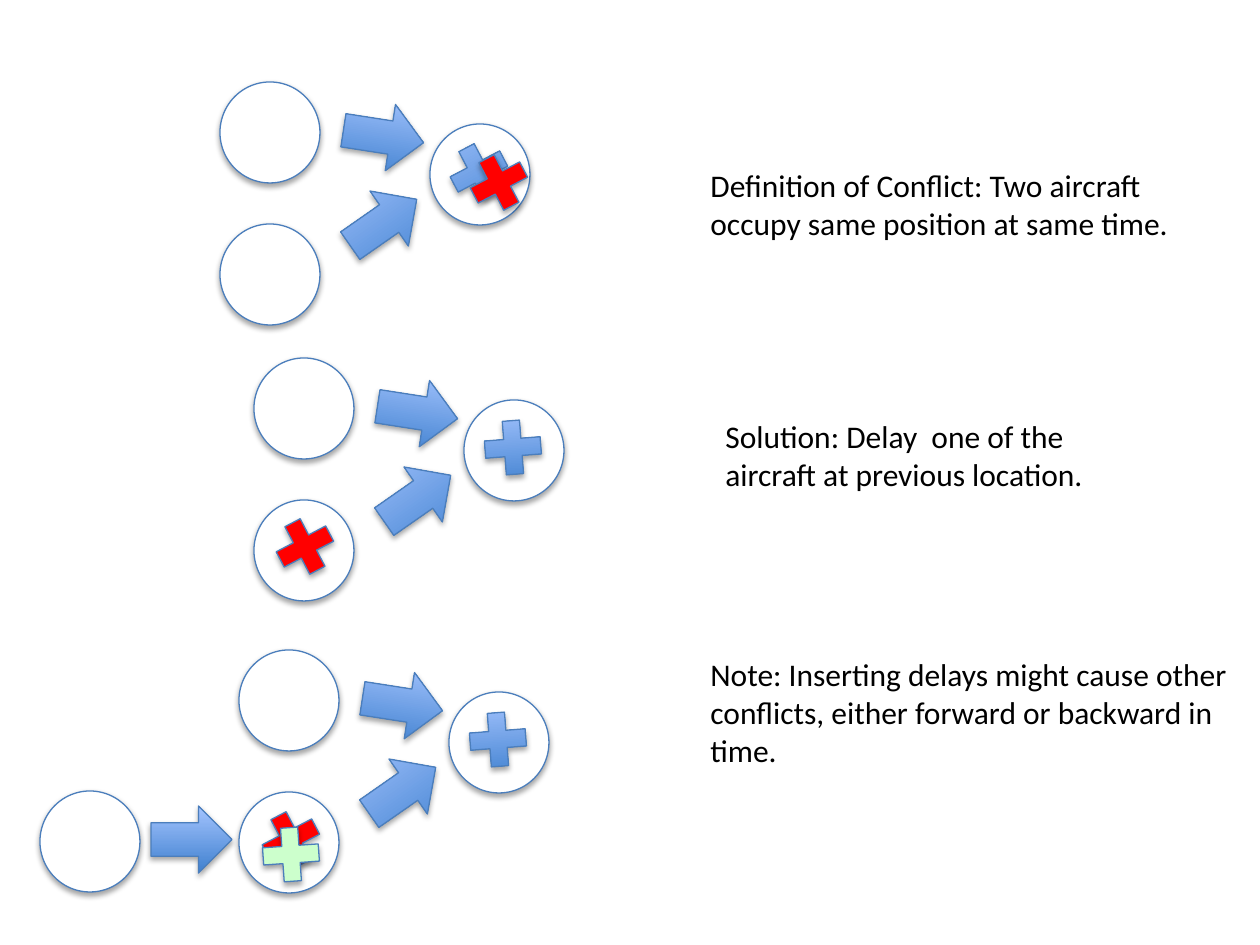
from lxml import etree
from pptx import Presentation
from pptx import util as u
from pptx.dml.color import RGBColor
from pptx.enum import shapes, text
from pptx.oxml.ns import qn

# Content: each scene has an origin, its own extra parts and a caption
KIND = shapes.MSO_SHAPE
BLUE, RED, GREEN, WHITE = ("3F80CE", "A4C4FF"), "FF0000", "CCFFCC", "FFFFFF"
EDGE, INK = "4B7EBC", "000000"

# Part name: preset shape, width, height
PARTS = {
    "circle": (KIND.OVAL, 100, 101),
    "arrow": (KIND.RIGHT_ARROW, 81, 67),
    "plane": (KIND.MATH_PLUS, 76, 73),
}

# Name, left, top, turn, fill; places count from the scene's origin
MERGE = [
    ("circle", 0, 0, 0, WHITE),
    ("circle", 0, 142, 0, WHITE),
    ("circle", 210, 42, 0, WHITE),
    ("arrow", 123, 107, 325.1, BLUE),
    ("arrow", 123, 21, 8.8, BLUE),
]
SCENES = [
    ((220, 82),
     [("plane", 221, 53, 332.4, BLUE),
      ("plane", 241, 64, 332.4, RED)],
     (698, 160, 513, 89),
     "Definition of Conflict: Two aircraft occupy same position at same time."),
    ((254, 358),
     [("plane", 221, 53, 355.6, BLUE),
      ("plane", 13, 152, 332.4, RED)],
     (713, 411, 455, 89),
     "Solution: Delay  one of the aircraft at previous location."),
    ((239, 650),
     [("plane", 221, 53, 355.6, BLUE),
      ("plane", 14, 153, 332.4, RED),
      ("circle", -199, 141, 0, WHITE),
      ("arrow", -88, 156, 0, BLUE),
      ("plane", 14, 168, 356, GREEN)],
     (698, 649, 559, 127),
     "Note: Inserting delays might cause other conflicts, "
     "either forward or backward in time."),
]


def px(*vals):
    return [u.Emu(round(v * 914400 / 126)) for v in vals]


def tint(code):
    return RGBColor.from_string(code)


def paint(fill, code):
    if isinstance(code, str):
        fill.solid()
        fill.fore_color.rgb = tint(code)
        return
    fill.gradient()
    fill.gradient_angle = 90
    for stop, hue, pos in zip(fill.gradient_stops, code, (0, 1)):
        stop.color.rgb = tint(hue)
        stop.position = pos


def shade(shape):
    shape.shadow.inherit = False
    fx = shape._element.spPr.find(qn("a:effectLst"))
    drop = etree.SubElement(fx, qn("a:outerShdw"), blurRad="40000",
                            dist="23000", dir="5400000", rotWithShape="0")
    hue = etree.SubElement(drop, qn("a:srgbClr"), val=INK)
    etree.SubElement(hue, qn("a:alpha"), val="35000")


def draw(slide, origin, part):
    name, x, y, turn, code = part
    kind, w, h = PARTS[name]
    shape = slide.shapes.add_shape(
        kind, *px(origin[0] + x, origin[1] + y, w, h))
    shape.rotation = turn
    paint(shape.fill, code)
    shape.line.color.rgb = tint(EDGE)
    shape.line.width = u.Pt(0.75)
    shade(shape)


def label(slide, box, words):
    frame = slide.shapes.add_textbox(*px(*box)).text_frame
    frame.word_wrap = True
    frame.auto_size = text.MSO_AUTO_SIZE.SHAPE_TO_FIT_TEXT
    frame.text = words
    font = frame.paragraphs[0].runs[0].font
    font.name, font.size = "Calibri", u.Pt(18)
    font.color.rgb = tint(INK)


# Build the slide
deck = Presentation()
deck.slide_width, deck.slide_height = px(1260, 945)
slide = deck.slides.add_slide(deck.slide_layouts[6])
for origin, extra, box, words in SCENES:
    for part in MERGE + extra:
        draw(slide, origin, part)
    label(slide, box, words)
deck.save("out.pptx")
